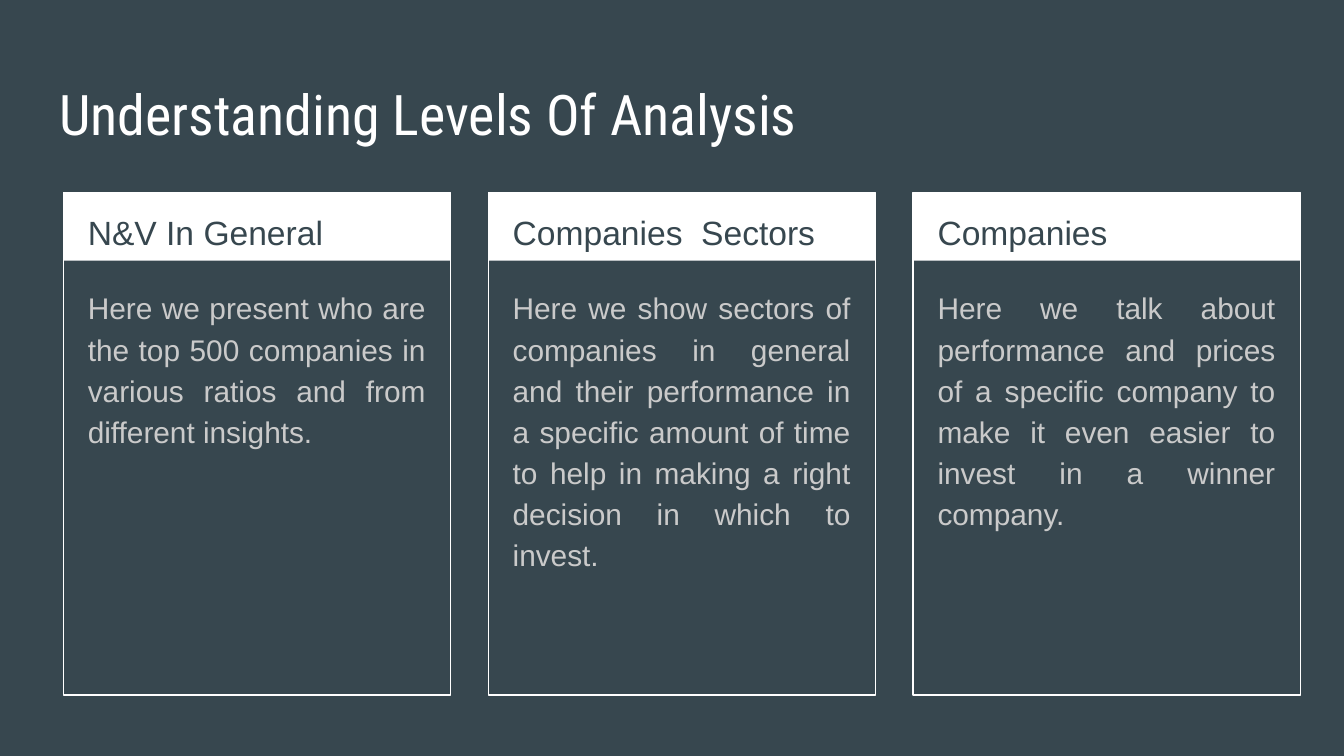
from dataclasses import dataclass

from pptx import Presentation
from pptx.dml.color import RGBColor
from pptx.enum.shapes import MSO_SHAPE
from pptx.enum.text import MSO_ANCHOR, MSO_AUTO_SIZE, PP_ALIGN as Align
from pptx.util import Pt


@dataclass(frozen=True)
class Theme:
    slate: RGBColor = RGBColor(0x37, 0x47, 0x4F)
    white: RGBColor = RGBColor(0xFF, 0xFF, 0xFF)
    grey: RGBColor = RGBColor(0xCA, 0xCA, 0xCA)
    title_font: str = "Roboto Condensed"
    body_font: str = "Arial"
    title_size: int = 30
    heading_size: int = 18
    body_size: int = 16


@dataclass(frozen=True)
class Level:
    heading: str
    body: str


THEME = Theme()
LEVELS = [
    Level("N&V In General",
          "Here we present who are the top 500 companies in various ratios "
          "and from different insights."),
    Level("Companies  Sectors",
          "Here we show sectors of companies in general and their performance "
          "in a specific amount of time to help in making a right decision in "
          "which to invest."),
    Level("Companies",
          "Here we talk about performance and prices of a specific company to "
          "make it even easier to invest in a winner company."),
]

# Card grid, in points
CARD_LEFT, CARD_TOP, CARD_PITCH = 34, 103, 227.6
CARD_W, CARD_H, HEADER_H = 207.4, 269.3, 36.7
TEXT_INSET, TEXT_W = 6, 195.2
BODY_TOP, BODY_H = 145.4, 220.3


def write(shape, text: str, font: str, size: int, color: RGBColor):
    """Write one run into the shape and return its paragraph."""
    tf = shape.text_frame
    tf.word_wrap = True
    tf.auto_size = MSO_AUTO_SIZE.NONE
    tf.vertical_anchor = MSO_ANCHOR.TOP
    tf.margin_left = tf.margin_right = Pt(7.2)
    tf.margin_top = tf.margin_bottom = Pt(7.2)
    p = tf.paragraphs[0]
    p.alignment = Align.LEFT
    r = p.add_run()
    r.text = text
    r.font.name, r.font.size = font, Pt(size)
    r.font.color.rgb = color
    return p


def add_text(s, left: float, top: float, height: float,
             text: str, size: int, color: RGBColor):
    box = s.shapes.add_textbox(Pt(left), Pt(top), Pt(TEXT_W), Pt(height))
    p = write(box, text, THEME.body_font, size, color)
    p.line_spacing = 1.15
    return p


def add_rect(s, left: float, height: float):
    sp = s.shapes.add_shape(MSO_SHAPE.RECTANGLE, Pt(left), Pt(CARD_TOP),
                            Pt(CARD_W), Pt(height))
    sp.shadow.inherit = False
    return sp


def add_card(s, left: float, level: Level) -> None:
    # Header band
    band = add_rect(s, left, HEADER_H)
    band.fill.solid()
    band.fill.fore_color.rgb = THEME.white
    band.line.fill.background()

    # Card outline
    frame = add_rect(s, left, CARD_H)
    frame.fill.background()
    frame.line.color.rgb = THEME.white
    frame.line.width = Pt(0.75)

    # Heading and body text
    text_left = left + TEXT_INSET
    add_text(s, text_left, CARD_TOP, HEADER_H, level.heading,
             THEME.heading_size, THEME.slate)
    p = add_text(s, text_left, BODY_TOP, BODY_H, level.body,
                 THEME.body_size, THEME.grey)
    p.alignment = Align.JUSTIFY
    p.space_after = Pt(16)


# Slide and background
prs = Presentation()
prs.slide_width, prs.slide_height = Pt(720), Pt(405)
s = prs.slides.add_slide(prs.slide_layouts[5])
s.background.fill.solid()
s.background.fill.fore_color.rgb = THEME.slate

# Title
title = s.shapes.title
title.left, title.top = Pt(24.5), Pt(35.3)
title.width, title.height = Pt(671), Pt(45.4)
write(title, "Understanding Levels Of Analysis",
      THEME.title_font, THEME.title_size, THEME.white)

# Cards
for i, level in enumerate(LEVELS):
    add_card(s, CARD_LEFT + i * CARD_PITCH, level)

prs.save("out.pptx")
